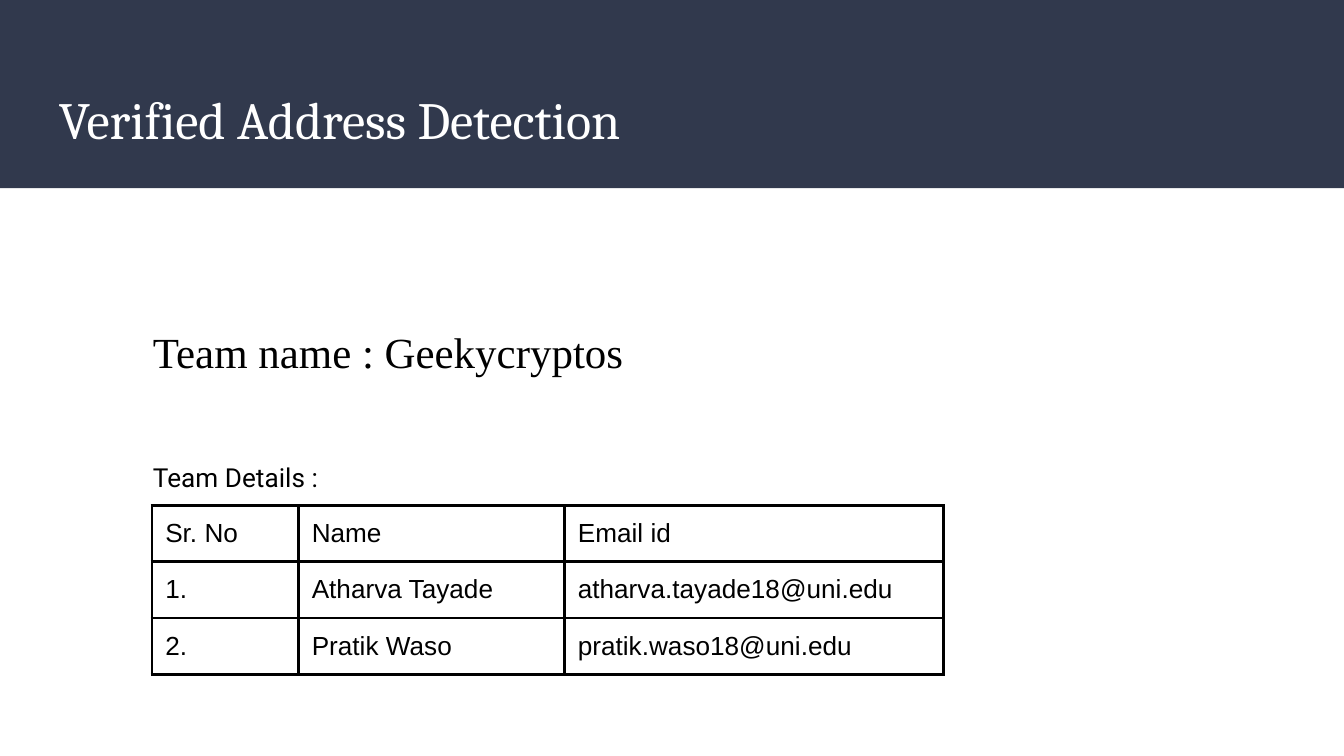
from dataclasses import dataclass

from lxml.etree import SubElement
from pptx import Presentation
from pptx.dml.color import RGBColor
from pptx.enum.shapes import MSO_SHAPE as Shape
from pptx.enum.text import MSO_ANCHOR as Anchor, MSO_AUTO_SIZE as AutoSize
from pptx.oxml.ns import qn
from pptx.slide import Slide
from pptx.util import Inches, Pt


@dataclass(frozen=True)
class Theme:
    band: RGBColor = RGBColor(0x31, 0x39, 0x4D)
    paper: RGBColor = RGBColor(0xFF, 0xFF, 0xFF)
    ink: RGBColor = RGBColor(0, 0, 0)
    title_size: float = 28
    team_size: float = 23
    body_size: float = 14
    border: float = 1.5
    inset: float = 0.1


@dataclass(frozen=True)
class Label:
    words: str
    left: float
    top: float
    width: float
    height: float
    font: str
    size: float
    color: RGBColor
    fit: AutoSize = AutoSize.SHAPE_TO_FIT_TEXT


THEME = Theme()
WIDTH = 10
HEIGHT = WIDTH * 9 / 16
BAND_HEIGHT = 1.4
TABLE_LEFT, TABLE_TOP, ROW_HEIGHT = 1.13, 3.76, 0.42
COLUMNS = (1.09, 1.98, 2.82)
MEMBERS = (
    ("Sr. No", "Name", "Email id"),
    ("1.", "Atharva Tayade", "atharva.tayade18@uni.edu"),
    ("2.", "Pratik Waso", "pratik.waso18@uni.edu"),
)
LABELS = (
    Label("Verified Address Detection", 0.34, 0.55, 9.32, 0.68,
          "Cambria", THEME.title_size, THEME.paper, AutoSize.NONE),
    Label("Team name : Geekycryptos", 1.04, 2.32, 6.54, 0.59,
          "Times New Roman", THEME.team_size, THEME.ink),
    Label("Team Details :", 1.04, 3.33, 5.46, 0.44,
          "Roboto", THEME.body_size, THEME.ink),
)


def set_insets(holder) -> None:
    """Give a text frame or a table cell the same margin on every side."""
    for side in ("left", "top", "right", "bottom"):
        setattr(holder, f"margin_{side}", Inches(THEME.inset))


def add_words(frame, words: str, font: str, size: float, color: RGBColor) -> None:
    para = frame.paragraphs[0]
    span = para.add_run()
    span.text = words
    span.font.name = font
    span.font.size = Pt(size)
    span.font.color.rgb = color


def draw_band(page: Slide) -> None:
    band = page.shapes.add_shape(
        Shape.RECTANGLE, 0, 0, Inches(WIDTH), Inches(BAND_HEIGHT))
    band.shadow.inherit = False
    band.fill.solid()
    band.fill.fore_color.rgb = THEME.band
    band.line.fill.background()


def draw_label(page: Slide, label: Label) -> None:
    box = page.shapes.add_textbox(
        Inches(label.left), Inches(label.top), Inches(label.width), Inches(label.height))
    frame = box.text_frame
    frame.word_wrap = True
    frame.auto_size = label.fit
    frame.vertical_anchor = Anchor.TOP
    set_insets(frame)
    add_words(frame, label.words, label.font, label.size, label.color)


def add_borders(cell) -> None:
    properties = cell._tc.get_or_add_tcPr()
    for position, side in enumerate(("lnL", "lnR", "lnT", "lnB")):
        line = SubElement(properties, qn(f"a:{side}"), w=str(Pt(THEME.border)))
        fill = SubElement(line, qn("a:solidFill"))
        SubElement(fill, qn("a:srgbClr"), val=str(THEME.ink))
        properties.insert(position, line)  # borders come before the fill


def draw_members(page: Slide) -> None:
    table = page.shapes.add_table(
        len(MEMBERS), len(COLUMNS), Inches(TABLE_LEFT), Inches(TABLE_TOP),
        Inches(sum(COLUMNS)), Inches(ROW_HEIGHT * len(MEMBERS))).table
    table.first_row = table.horz_banding = False
    for column, width in zip(table.columns, COLUMNS):
        column.width = Inches(width)
    for row, member in zip(table.rows, MEMBERS):
        row.height = Inches(ROW_HEIGHT)
        for cell, words in zip(row.cells, member):
            cell.fill.background()
            set_insets(cell)
            add_borders(cell)
            add_words(cell.text_frame, words, "Arial", THEME.body_size, THEME.ink)


def main() -> None:
    deck = Presentation()
    deck.slide_width, deck.slide_height = Inches(WIDTH), Inches(HEIGHT)
    page = deck.slides.add_slide(deck.slide_layouts[6])
    page.background.fill.solid()
    page.background.fill.fore_color.rgb = THEME.paper

    # Header band
    draw_band(page)
    # Team table
    draw_members(page)
    # Title and captions
    for label in LABELS:
        draw_label(page, label)

    deck.save("out.pptx")


if __name__ == "__main__":
    main()
